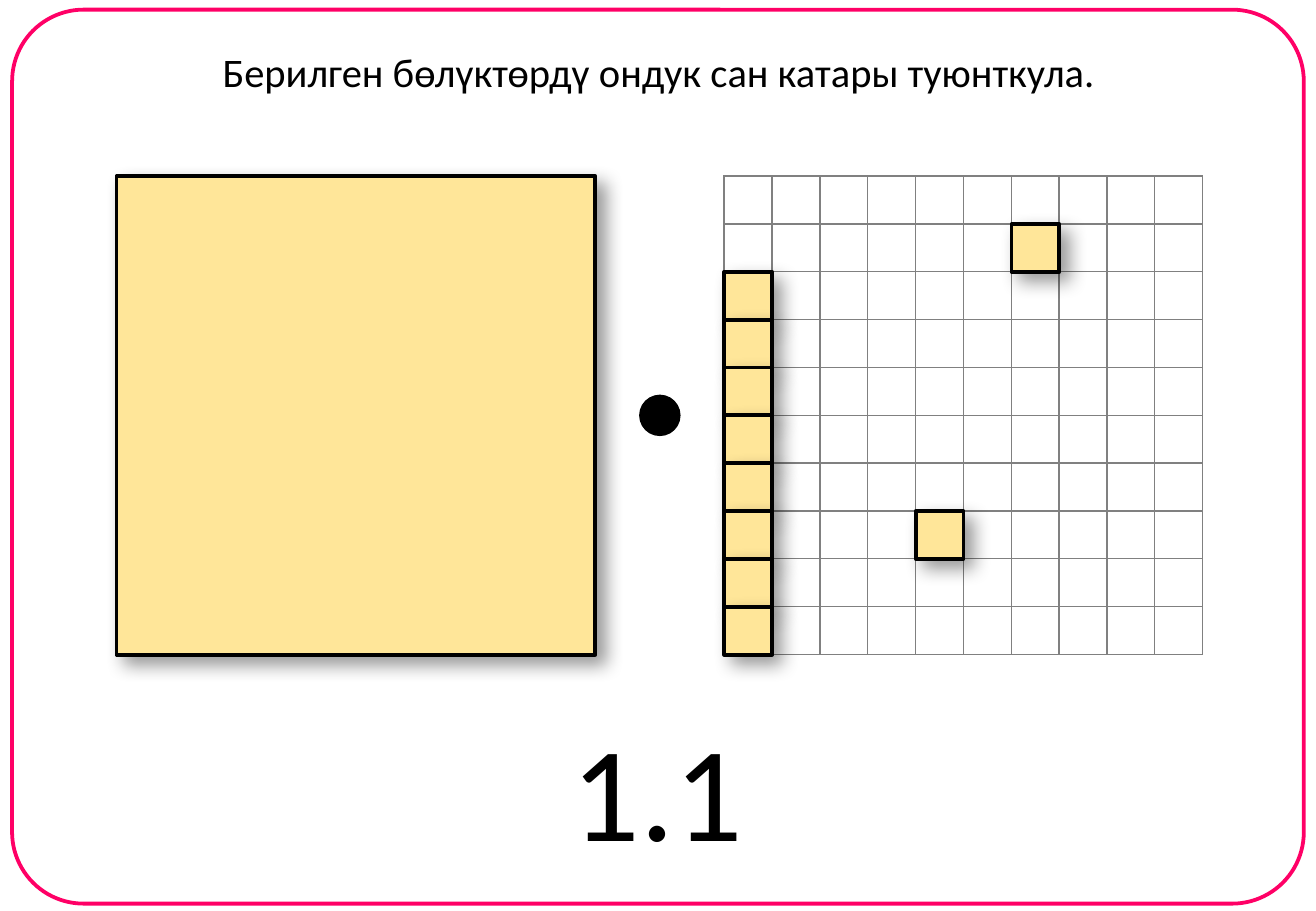
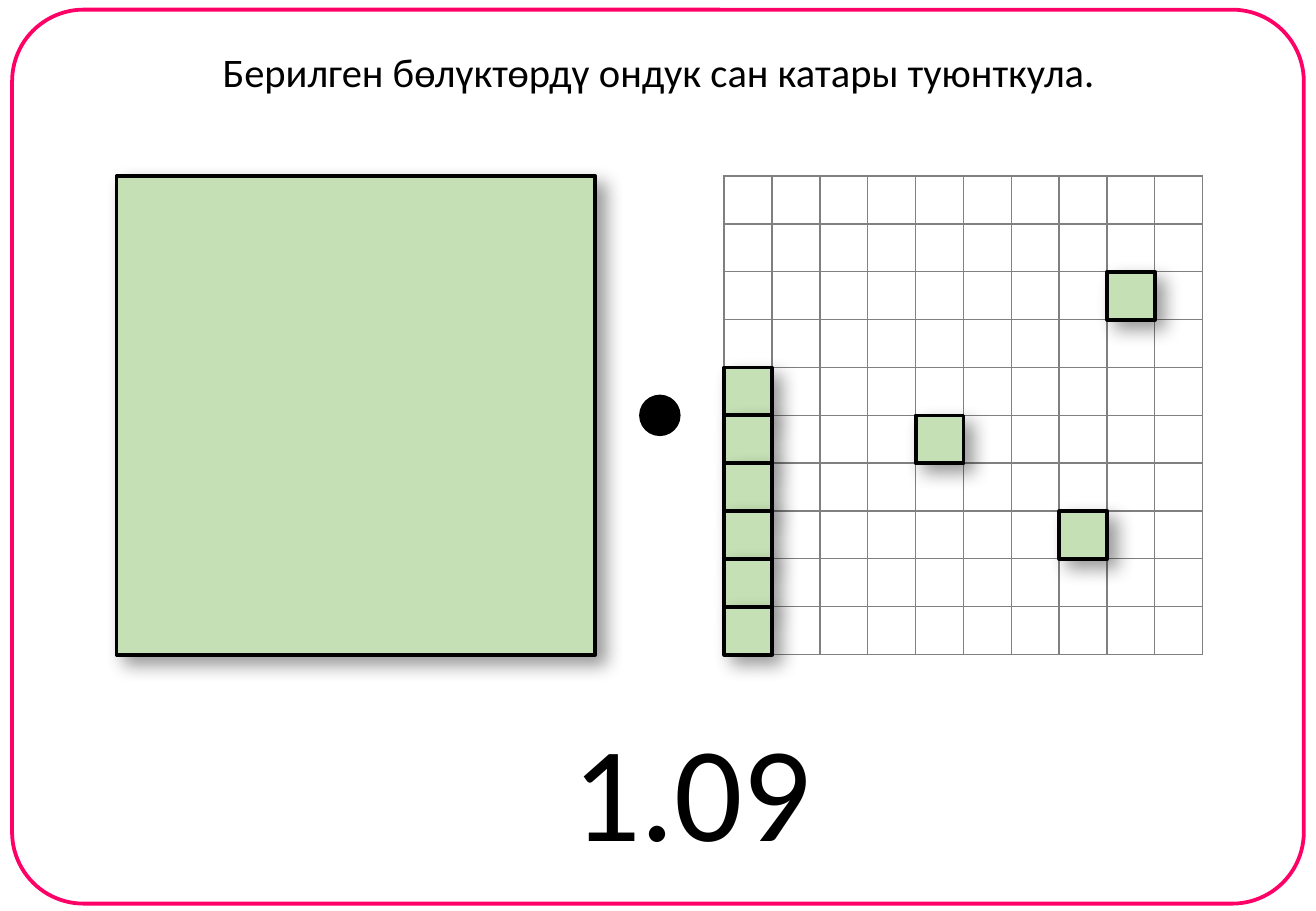
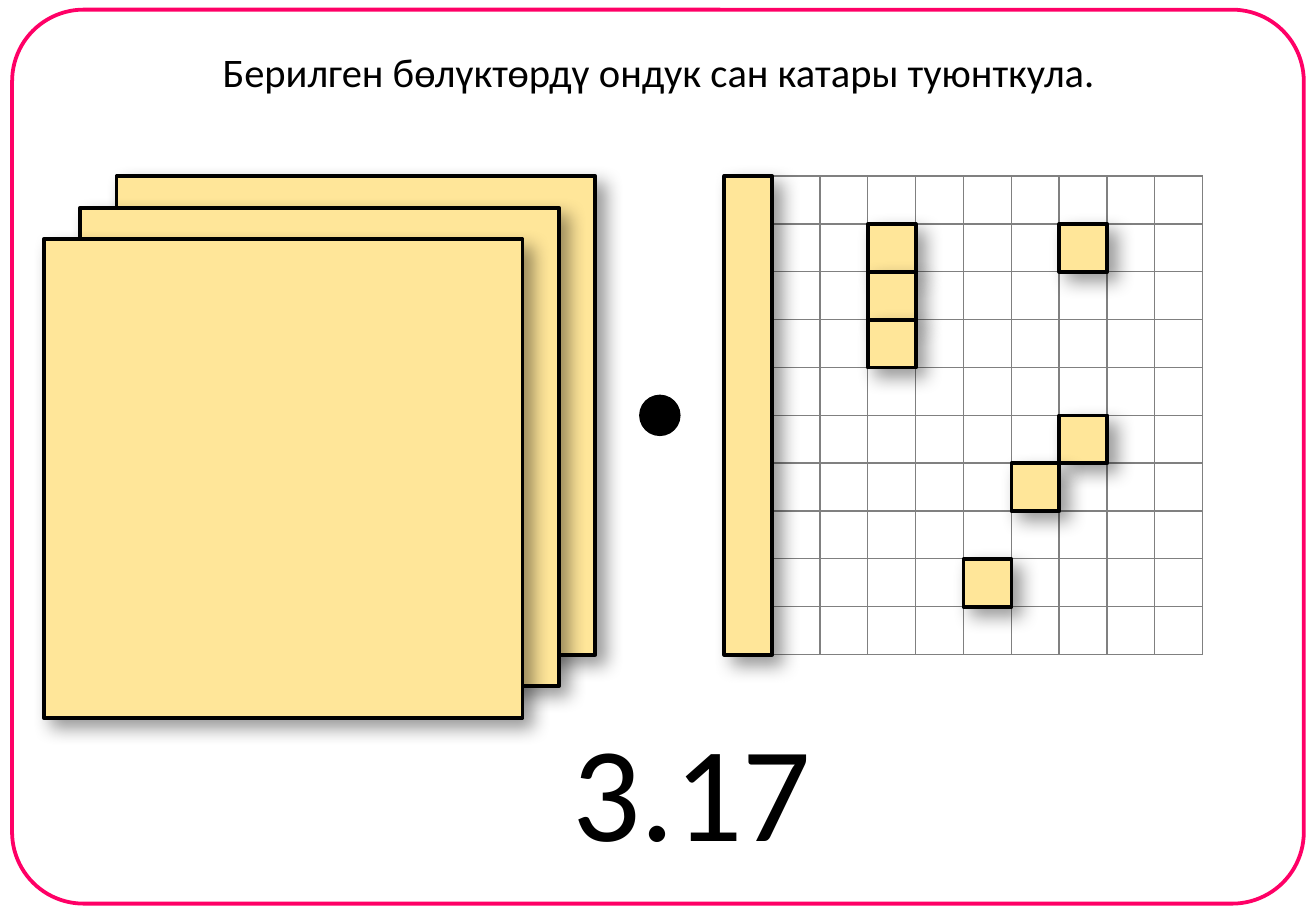
from lxml import etree
from pptx import Presentation
from pptx import util as u
from pptx.dml.color import RGBColor
from pptx.enum import shapes, text
from pptx.oxml import parse_xml
from pptx.oxml.ns import nsdecls

PINK = RGBColor(0xFF, 0x00, 0x66)
BLACK = RGBColor(0x00, 0x00, 0x00)
WHITE = RGBColor(0xFF, 0xFF, 0xFF)
YELLOW = RGBColor(0xFF, 0xE6, 0x99)
GREEN = RGBColor(0xC5, 0xE0, 0xB4)
FONT = "Calibri"
TITLE = "Берилген бөлүктөрдү ондук сан катары туюнткула."

N = 10
SIDE = u.Inches(3.94)
CELL = SIDE // N
TOP = u.Inches(1.45)
WHOLE_LEFT = u.Inches(0.96)
GRID_LEFT = u.Inches(5.96)
STACK_DX, STACK_DY = u.Inches(-0.3), u.Inches(0.26)
DOT = u.Inches(0.31)

SHADOW = (
    f'<a:effectLst {nsdecls("a")}><a:outerShdw blurRad="{u.Pt(11)}" dist="{u.Pt(7)}" '
    'dir="2700000" algn="tl" rotWithShape="0"><a:srgbClr val="000000">'
    '<a:alpha val="40000"/></a:srgbClr></a:outerShdw></a:effectLst>'
)
BORDER = (
    '<a:{side} {ns} w="12700"><a:solidFill><a:srgbClr val="808080"/></a:solidFill></a:{side}>'
)

CARDS = [
    {"answer": "1.1", "width": 1.62, "color": YELLOW, "wholes": 1, "rods": 0,
     "cells": [(6, 1), (4, 7)] + [(0, row) for row in range(2, N)]},
    {"answer": "1.09", "width": 2.19, "color": GREEN, "wholes": 1, "rods": 0,
     "cells": [(8, 2), (4, 5), (7, 7)] + [(0, row) for row in range(4, N)]},
    {"answer": "3.17", "width": 2.19, "color": YELLOW, "wholes": 3, "rods": 1,
     "cells": [(3, 1), (3, 2), (3, 3), (7, 1), (7, 5), (6, 6), (5, 8)]},
]


def add_shape(s, kind, box, fill, line=BLACK, shadow=False):
    sp = s.shapes.add_shape(kind, *box)
    sp.shadow.inherit = False
    if fill is None:
        sp.fill.background()
    else:
        sp.fill.solid()
        sp.fill.fore_color.rgb = fill
    sp.line.color.rgb = line
    sp.line.width = u.Pt(2.25)
    if shadow:
        effects = sp._element.spPr.find("{*}effectLst")
        effects.getparent().replace(effects, parse_xml(SHADOW))
    return sp


def add_text(s, box, words, size):
    tf = s.shapes.add_textbox(*[u.Inches(v) for v in box]).text_frame
    tf.word_wrap = False
    tf.auto_size = text.MSO_AUTO_SIZE.SHAPE_TO_FIT_TEXT
    p = tf.paragraphs[0]
    p.text = words
    p.alignment = text.PP_ALIGN.CENTER
    r = p.runs[0]
    r.font.size = u.Pt(size)
    r.font.name = FONT
    r.font.color.rgb = BLACK


prs = Presentation()
prs.slide_width = u.Inches(10.83)
prs.slide_height = u.Inches(7.5)
RECT = shapes.MSO_SHAPE.RECTANGLE

for card in CARDS:
    s = prs.slides.add_slide(prs.slide_layouts[6])
    frame_box = [u.Inches(v) for v in (0.1, 0.08, 10.63, 7.36)]
    frame = add_shape(s, shapes.MSO_SHAPE.ROUNDED_RECTANGLE, frame_box, None, PINK)
    frame.adjustments[0] = 0.08

    grid = s.shapes.add_table(N, N, GRID_LEFT, TOP, SIDE, SIDE).table
    grid.first_row = grid.horz_banding = False
    for cell in grid.iter_cells():
        cell.margin_left = cell.margin_right = cell.margin_top = cell.margin_bottom = 0
        cell.fill.solid()
        cell.fill.fore_color.rgb = WHITE
        tc_pr = cell._tc.get_or_add_tcPr()
        for i, side in enumerate(("lnL", "lnR", "lnT", "lnB")):
            tc_pr.insert(i, etree.fromstring(BORDER.format(side=side, ns=nsdecls("a"))))

    for i in range(card["wholes"]):
        box = (WHOLE_LEFT + i * STACK_DX, TOP + i * STACK_DY, SIDE, SIDE)
        add_shape(s, RECT, box, card["color"], shadow=True)
    for i in range(card["rods"]):
        box = (GRID_LEFT + i * CELL, TOP, CELL, SIDE)
        add_shape(s, RECT, box, card["color"], shadow=True)
    for col, row in card["cells"]:
        box = (GRID_LEFT + col * CELL, TOP + row * CELL, CELL, CELL)
        add_shape(s, RECT, box, card["color"], shadow=True)

    dot_left = (WHOLE_LEFT + SIDE + GRID_LEFT - DOT) // 2
    dot_top = TOP + (SIDE - DOT) // 2
    add_shape(s, shapes.MSO_SHAPE.OVAL, (dot_left, dot_top, DOT, DOT), BLACK)

    add_text(s, (4.6, 5.77, card["width"], 1.45), card["answer"], 80)
    add_text(s, (1.69, 0.34, 7.46, 0.5), TITLE, 24)

prs.save("out.pptx")
